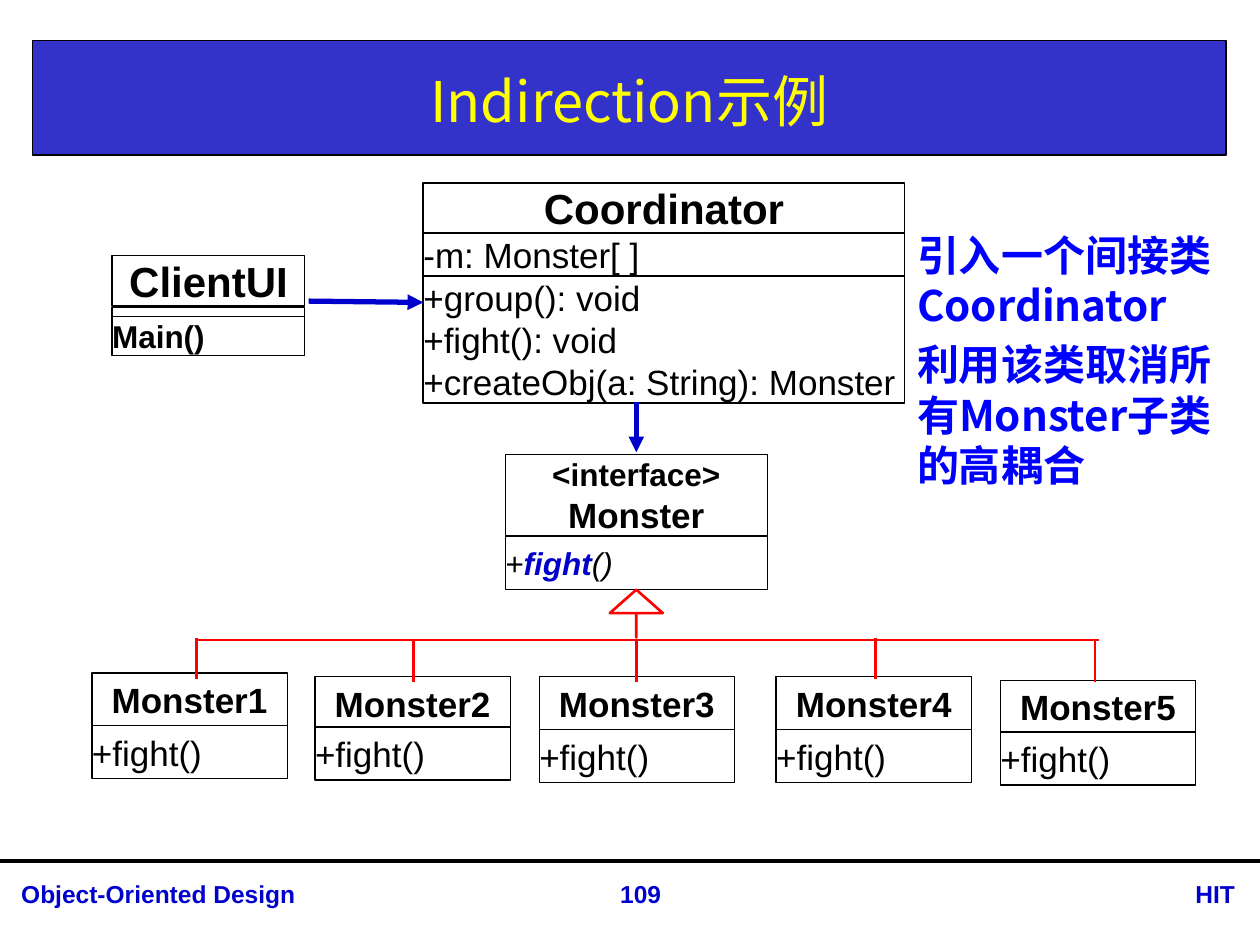
from lxml import etree
from pptx import Presentation
from pptx.dml.color import RGBColor
from pptx.enum.shapes import MSO_CONNECTOR, MSO_SHAPE
from pptx.enum.text import MSO_ANCHOR, PP_ALIGN
from pptx.oxml.ns import qn
from pptx.util import Inches, Pt

LEFT, CENTER, RIGHT, JUSTIFY = PP_ALIGN.LEFT, PP_ALIGN.CENTER, PP_ALIGN.RIGHT, PP_ALIGN.JUSTIFY
MIDDLE = MSO_ANCHOR.MIDDLE
STRAIGHT = MSO_CONNECTOR.STRAIGHT
RECTANGLE, UP_ARROW = MSO_SHAPE.RECTANGLE, MSO_SHAPE.UP_ARROW

BLACK = RGBColor(0x00, 0x00, 0x00)
WHITE = RGBColor(0xFF, 0xFF, 0xFF)
RED = RGBColor(0xFF, 0x00, 0x00)
YELLOW = RGBColor(0xFF, 0xFF, 0x00)
BAR_BLUE = RGBColor(0x33, 0x33, 0xCC)
DARK_BLUE = RGBColor(0x00, 0x00, 0xCC)
NOTE_BLUE = RGBColor(0x00, 0x00, 0xFF)

LATIN_FONT = "Arial"
CHINESE_FONT = "Noto Sans CJK SC"

MONSTER_WIDTH, MONSTER_ROW = 1.55, 0.42
# left, top of the name row, top of the method row
MONSTERS = [(0.73, 5.34, 5.76), (2.5, 5.37, 5.77), (4.28, 5.37, 5.79),
            (6.16, 5.37, 5.79), (7.94, 5.4, 5.81)]
# x and top of each branch of the inheritance tree
BRANCHES = [(1.56, 5.06), (3.28, 5.08), (5.05, 5.08), (6.95, 5.06), (8.69, 5.08)]
BRANCH_LENGTH = 0.33


def style_para(para, size, color=BLACK, bold=False, align=LEFT, name=LATIN_FONT):
    para.alignment = align
    font = para.font
    font.name, font.size, font.bold = name, Pt(size), bold
    font.color.rgb = color
    if name == CHINESE_FONT:
        latin = para._p.pPr.find(qn("a:defRPr")).find(qn("a:latin"))
        east_asian = etree.Element(qn("a:ea"), typeface=name)
        latin.addnext(east_asian)


def write_lines(frame, lines, size, **style):
    for index, line in enumerate(lines):
        para = frame.paragraphs[0] if index == 0 else frame.add_paragraph()
        para.text = line
        style_para(para, size, **style)


def add_outlined(page, preset, left, top, width, height, color=BLACK, weight=0.75):
    shape = page.shapes.add_shape(
        preset, Inches(left), Inches(top), Inches(width), Inches(height))
    shape.shadow.inherit = False
    shape.fill.solid()
    shape.fill.fore_color.rgb = WHITE
    shape.line.color.rgb = color
    shape.line.width = Pt(weight)
    return shape


def add_compartment(page, left, top, width, height, lines=(), size=20,
                    bold=False, align=JUSTIFY, weight=0.75):
    """Add one row of a UML class box and return its text frame."""
    shape = add_outlined(page, RECTANGLE, left, top, width, height, weight=weight)
    frame = shape.text_frame
    frame.word_wrap = True
    frame.vertical_anchor = MIDDLE
    frame.margin_left = frame.margin_right = frame.margin_top = frame.margin_bottom = 0
    write_lines(frame, lines, size, bold=bold, align=align)
    return frame


def add_line(page, start, end, color, weight, arrow=False):
    line = page.shapes.add_connector(STRAIGHT, *map(Inches, start + end))
    line.line.color.rgb = color
    line.line.width = Pt(weight)
    if arrow:
        etree.SubElement(line.line._get_or_add_ln(), qn("a:tailEnd"), type="triangle")
    etree.SubElement(line._element.spPr, qn("a:effectLst"))


def add_text(page, left, top, width, height, lines, size, **style):
    box = page.shapes.add_textbox(
        Inches(left), Inches(top), Inches(width), Inches(height))
    box.text_frame.word_wrap = True
    write_lines(box.text_frame, lines, size, bold=True, **style)


def add_title(page):
    title = page.shapes.title
    title.left, title.top = Inches(0.26), Inches(0.32)
    title.width, title.height = Inches(9.47), Inches(0.91)
    title.fill.solid()
    title.fill.fore_color.rgb = BAR_BLUE
    title.line.color.rgb = BLACK
    title.line.width = Pt(0.75)
    frame = title.text_frame
    frame.vertical_anchor = MIDDLE
    frame.margin_top = Inches(0.09)
    write_lines(frame, ["Indirection示例"], 32, color=YELLOW, align=CENTER,
                name=CHINESE_FONT)


def add_footer(page):
    add_line(page, (0, 6.83), (10, 6.83), BLACK, 2.25)
    for left, width, text, align in [(0.07, 4.63, "Object-Oriented Design", LEFT),
                                     (8.87, 1.03, "HIT", RIGHT),
                                     (4.57, 1.03, "109", CENTER)]:
        add_text(page, left, 6.93, width, 0.34, [text], 14, color=DARK_BLUE, align=align)


def add_coordinator(page):
    left, width = 3.36, 3.82
    add_compartment(page, left, 1.45, width, 0.4, ["Coordinator"], 24, True, CENTER, 1)
    add_compartment(page, left, 1.85, width, 0.34, ["-m: Monster[ ]"], weight=1)
    methods = ["+group(): void", "+fight(): void", "+createObj(a: String): Monster"]
    add_compartment(page, left, 2.19, width, 1.01, methods, weight=1)


def add_client(page):
    left, width = 0.89, 1.53
    add_compartment(page, left, 2.03, width, 0.4, ["ClientUI"], 24, True, CENTER)
    add_compartment(page, left, 2.51, width, 0.31, ["Main()"], 18, True)
    add_compartment(page, left, 2.44, width, 0.07)


def add_interface(page):
    left, width = 4.01, 2.08
    header = add_compartment(page, left, 3.61, width, 0.64,
                             ["<interface>", "Monster"], 18, True, CENTER)
    header.paragraphs[1].font.size = Pt(20)
    para = add_compartment(page, left, 4.26, width, 0.42).paragraphs[0]
    style_para(para, 18, align=JUSTIFY)
    para.font.italic = True
    for text in ("+", "fight", "()"):
        span = para.add_run()
        span.text = text
        if text == "fight":
            span.font.bold = True
            span.font.color.rgb = DARK_BLUE


def add_monsters(page):
    for number, (left, name_top, method_top) in enumerate(MONSTERS, 1):
        add_compartment(page, left, name_top, MONSTER_WIDTH, MONSTER_ROW,
                        [f"Monster{number}"], bold=True, align=CENTER)
        add_compartment(page, left, method_top, MONSTER_WIDTH, MONSTER_ROW, ["+fight()"])


def add_inheritance(page):
    add_line(page, (1.57, 5.08), (8.72, 5.08), RED, 1.5)
    for x, top in BRANCHES:
        add_line(page, (x, top), (x, top + BRANCH_LENGTH), RED, 1.5)
    arrow = add_outlined(page, UP_ARROW, 4.84, 4.68, 0.42, 0.38, RED, 1.5)
    arrow.adjustments[0], arrow.adjustments[1] = 0, 0.49


def add_notes(page):
    for top, height, lines in [(1.77, 0.91, ["引入一个间接类", "Coordinator"]),
                               (2.64, 1.31, ["利用该类取消所有Monster子类的高耦合"])]:
        add_text(page, 7.18, top, 2.56, height, lines, 24, color=NOTE_BLUE,
                 name=CHINESE_FONT)


def main():
    deck = Presentation()
    deck.slide_width, deck.slide_height = Inches(10), Inches(7.5)
    page = deck.slides.add_slide(deck.slide_layouts[5])
    add_title(page)
    add_footer(page)
    add_coordinator(page)
    add_client(page)
    add_interface(page)
    add_monsters(page)
    add_inheritance(page)
    add_line(page, (5.05, 3.19), (5.05, 3.59), DARK_BLUE, 3, arrow=True)
    add_line(page, (2.45, 2.39), (3.36, 2.4), DARK_BLUE, 3, arrow=True)
    add_notes(page)
    deck.save("out.pptx")


if __name__ == "__main__":
    main()
